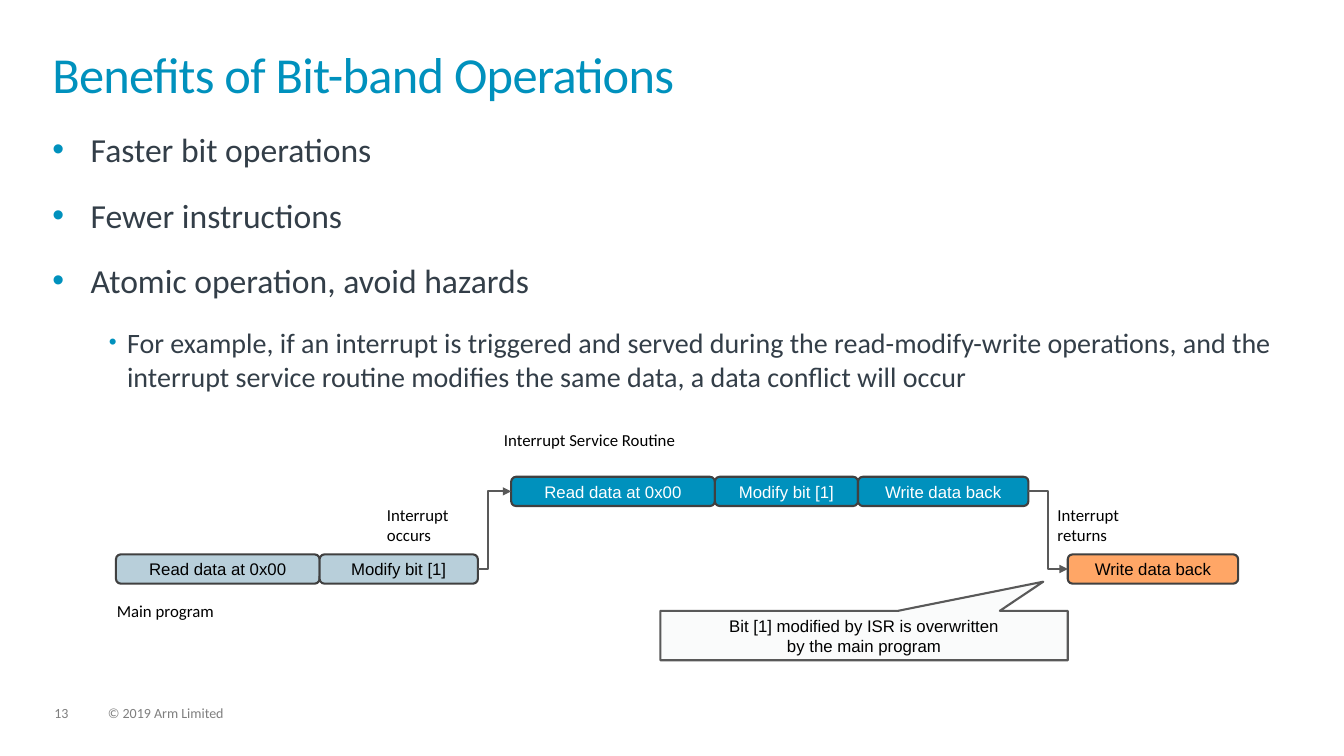
from dataclasses import dataclass

from lxml import etree
from pptx import Presentation
from pptx.dml.color import RGBColor
from pptx.enum import shapes as sh, text as tx
from pptx.oxml import ns
from pptx.util import Inches, Pt

HUES = {
    "blue": "0091BD", "slate": "333E48", "pale": "B8CFDA", "amber": "FFA666",
    "edge": "404040", "wire": "595959", "note": "FAFBFB", "foot": "7F7F7F",
    "black": "000000", "white": "FFFFFF",
}
HIGH, LOW, TALL = 4.73, 5.5, 0.29
READ, WRITE = 2.02, 1.69


@dataclass
class Step:
    text: str
    wide: float


@dataclass
class Row:
    left: float
    top: float
    fill: str
    ink: str
    steps: list[Step]


@dataclass
class Label:
    text: str
    left: float
    top: float
    wide: float
    tall: float


@dataclass
class Point:
    text: str
    level: int
    size: int
    indent: float
    hang: float
    after: int
    scale: int


ROWS = [
    Row(1.15, LOW, "pale", "black", [Step("Read data at 0x00", READ), Step("Modify bit [1]", 1.57)]),
    Row(5.07, HIGH, "blue", "white", [Step("Read data at 0x00", READ), Step("Modify bit [1]", 1.42),
                                      Step("Write data back", WRITE)]),
    Row(10.59, LOW, "amber", "black", [Step("Write data back", WRITE)]),
]
LABELS = [
    Label("Interrupt occurs", 3.74, 4.96, 1.27, 0.5),
    Label("Interrupt returns", 10.39, 4.96, 1.27, 0.5),
    Label("Interrupt Service Routine", 4.9, 4.21, 2.89, 0.3),
    Label("Main program", 1.06, 5.91, 2.89, 0.3),
]
FOOTS = [Label("13", 0.54, 7.01, 0.34, 0.15), Label("© 2019 Arm Limited", 1.07, 7.01, 5.07, 0.15)]
POINTS = [Point(t, 0, 24, 0.38, 0.38, 12, 100) for t in (
    "Faster bit operations", "Fewer instructions", "Atomic operation, avoid hazards")]
POINTS.append(Point(
    "For example, if an interrupt is triggered and served during the read-modify-write "
    "operations, and the interrupt service routine modifies the same data, a data conflict "
    "will occur", 1, 20, 0.74, 0.18, 0, 80))


def color(name: str) -> RGBColor:
    return RGBColor.from_string(HUES[name])


def style(par, size: int, ink: str, face: str = "Calibri") -> None:
    par.font.size = Pt(size)
    par.font.name = face
    par.font.color.rgb = color(ink)


def strip(frame) -> None:
    """Remove the inner margins and let the text wrap from the top."""
    frame.margin_left = frame.margin_right = frame.margin_top = frame.margin_bottom = 0
    frame.word_wrap = True
    frame.vertical_anchor = tx.MSO_ANCHOR.TOP


def add_text(slide, item: Label):
    box = slide.shapes.add_textbox(*map(Inches, (item.left, item.top, item.wide, item.tall)))
    box.text_frame.word_wrap = True
    box.text_frame.text = item.text
    return box.text_frame


def add_foot(slide, item: Label) -> None:
    frame = add_text(slide, item)
    strip(frame)
    par = frame.paragraphs[0]
    par.line_spacing = 0.9
    style(par, 10, "foot")


def add_title(slide) -> None:
    title = slide.shapes.title
    title.left, title.top, title.width, title.height = map(Inches, (0.52, 0.52, 12.28, 0.72))
    frame = title.text_frame
    frame.text = "Benefits of Bit-band Operations"
    strip(frame)
    par = frame.paragraphs[0]
    par.alignment = tx.PP_ALIGN.LEFT
    par.line_spacing = 0.85
    style(par, 36, "blue")
    par.runs[0].font._element.set("spc", "-50")


def add_bullet(par, item: Point) -> None:
    props = par._p.get_or_add_pPr()
    props.set("marL", str(Inches(item.indent)))
    props.set("indent", str(-Inches(item.hang)))
    tint = etree.SubElement(props, ns.qn("a:buClr"))
    etree.SubElement(tint, ns.qn("a:srgbClr"), val=HUES["blue"])
    etree.SubElement(props, ns.qn("a:buSzPct"), val=str(item.scale * 1000))
    etree.SubElement(props, ns.qn("a:buFont"), typeface="Arial")
    etree.SubElement(props, ns.qn("a:buChar"), char="•")


def add_points(slide) -> None:
    box = slide.shapes.add_textbox(*map(Inches, (0.52, 1.28, 12.28, 2.8)))
    frame = box.text_frame
    strip(frame)
    for i, item in enumerate(POINTS):
        par = frame.add_paragraph() if i else frame.paragraphs[0]
        par.text = item.text
        par.level = item.level
        par.space_before = Pt(6 if i else 0)
        par.space_after = Pt(item.after)
        add_bullet(par, item)
        style(par, item.size, "slate")


def add_box(slide, kind, spot: tuple, text: str, fill: str, edge: str, ink: str):
    box = slide.shapes.add_shape(kind, *map(Inches, spot))
    box.shadow.inherit = False
    box.fill.solid()
    box.fill.fore_color.rgb = color(fill)
    box.line.color.rgb = color(edge)
    box.line.width = Pt(1.5)
    frame = box.text_frame
    frame.text = text
    frame.word_wrap = False
    frame.vertical_anchor = tx.MSO_ANCHOR.MIDDLE
    for par in frame.paragraphs:
        par.alignment = tx.PP_ALIGN.CENTER
        style(par, 12, ink, "Arial")
    return box


def add_row(slide, row: Row) -> list:
    boxes, left = [], row.left
    for step in row.steps:
        spot = (left, row.top, step.wide, TALL)
        boxes.append(add_box(slide, sh.MSO_SHAPE.ROUNDED_RECTANGLE, spot, step.text,
                             row.fill, "edge", row.ink))
        left += step.wide
    return boxes


def add_jump(slide, start, end, bend: float) -> None:
    """Link the right side of start to the left side of end, turning at bend."""
    wire = slide.shapes.add_connector(sh.MSO_CONNECTOR.ELBOW, 0, 0, 0, 0)
    wire.begin_connect(start, 3)
    wire.end_connect(end, 1)
    wire.line.color.rgb = color("wire")
    wire.line.width = Pt(1.5)
    props = wire._element.spPr
    guides = props.find(ns.qn("a:prstGeom")).get_or_add_avLst()
    etree.SubElement(guides, ns.qn("a:gd"), name="adj1", fmla=f"val {round(bend * 100000)}")
    etree.SubElement(wire.line._get_or_add_ln(), ns.qn("a:tailEnd"), type="triangle")
    etree.SubElement(props, ns.qn("a:effectLst"))


def main() -> None:
    deck = Presentation()
    deck.slide_width, deck.slide_height = Inches(13.33), Inches(7.5)
    slide = deck.slides.add_slide(deck.slide_layouts[5])
    add_title(slide)
    add_points(slide)
    for item in FOOTS:
        add_foot(slide, item)
    first, routine, last = [add_row(slide, row) for row in ROWS]
    add_jump(slide, first[-1], routine[0], 0.3)
    add_jump(slide, routine[-1], last[0], 0.5)
    note = add_box(slide, sh.MSO_SHAPE.RECTANGULAR_CALLOUT, (6.55, 6.06, 4.04, 0.49),
                   "Bit [1] modified by ISR is overwritten\nby the main program",
                   "note", "wire", "black")
    note.adjustments[0], note.adjustments[1] = 0.44, -1.09
    for item in LABELS:
        style(add_text(slide, item).paragraphs[0], 12, "black")
    deck.save("out.pptx")


if __name__ == "__main__":
    main()
